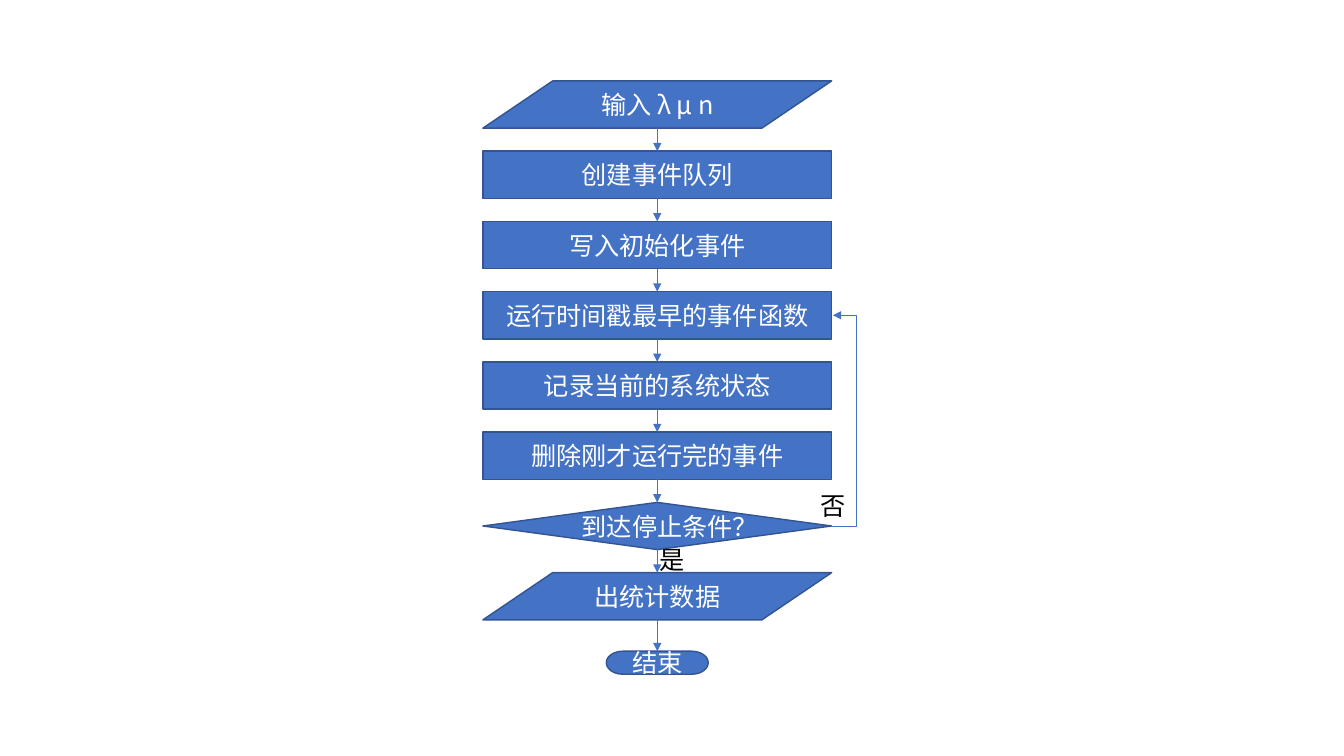
from lxml import etree
from pptx import Presentation
from pptx.dml.color import RGBColor
from pptx.enum.shapes import MSO_CONNECTOR, MSO_SHAPE
from pptx.enum.text import MSO_ANCHOR, MSO_AUTO_SIZE, PP_ALIGN
from pptx.oxml.ns import qn
from pptx.util import Cm, Pt

DATA = MSO_SHAPE.FLOWCHART_DATA
PROCESS = MSO_SHAPE.FLOWCHART_PROCESS
DECISION = MSO_SHAPE.FLOWCHART_DECISION
TERMINATOR = MSO_SHAPE.FLOWCHART_TERMINATOR
STRAIGHT, ELBOW = MSO_CONNECTOR.STRAIGHT, MSO_CONNECTOR.ELBOW

FONT = "Noto Sans CJK SC"
COLORS = {"fill": "4472C4", "outline": "325491", "arrow": "4472C4",
          "light": "FFFFFF", "dark": "000000"}

STEPS = [
    (DATA, "输入 λ μ n"),
    (PROCESS, "创建事件队列"),
    (PROCESS, "写入初始化事件"),
    (PROCESS, "运行时间戳最早的事件函数"),
    (PROCESS, "记录当前的系统状态"),
    (PROCESS, "删除刚才运行完的事件"),
    (DECISION, "到达停止条件？"),
    (DATA, "出统计数据"),
]
END_TEXT = "结束"
BRANCH_LABELS = [("是", 16.36, 13.59), ("否", 20.42, 12.24)]
LOOP_FROM, LOOP_TO = 6, 3

# Lengths in cm
LEFT, TOP, WIDTH, HEIGHT, PITCH = 12.17, 2.04, 8.79, 1.19, 1.77
END_TOP, END_WIDTH, END_HEIGHT = 16.41, 2.57, 0.58
LABEL_WIDTH, LABEL_HEIGHT = 1.14, 1.02
LOOP_OUT, LOOP_SHIFT = 0.63, 0.03
CENTER, RIGHT = LEFT + WIDTH / 2, LEFT + WIDTH


def rgb(name):
    """Return the named colour."""
    return RGBColor.from_string(COLORS[name])


def write(tf, text, color):
    """Put one formatted line into a text frame."""
    tf.text = text
    p = tf.paragraphs[0]
    for r in p.runs:
        r.font.name = FONT
        r.font.size = Pt(18)
        r.font.color.rgb = rgb(color)
        etree.SubElement(r.font._element, qn("a:ea"), typeface=FONT)
    return p


def add_node(s, kind, text, top, width, height):
    """Add a flowchart shape centred on the column."""
    sp = s.shapes.add_shape(kind, Cm(CENTER - width / 2), Cm(top),
                            Cm(width), Cm(height))
    sp.shadow.inherit = False
    sp.fill.solid()
    sp.fill.fore_color.rgb = rgb("fill")
    sp.line.color.rgb = rgb("outline")
    sp.line.width = Pt(1)
    tf = sp.text_frame
    tf.word_wrap = True
    tf.vertical_anchor = MSO_ANCHOR.MIDDLE
    write(tf, text, "light").alignment = PP_ALIGN.CENTER


def add_arrow(s, kind, x1, y1, x2, y2):
    """Add a thin connector with an arrowhead at its end."""
    cx = s.shapes.add_connector(kind, Cm(x1), Cm(y1), Cm(x2), Cm(y2))
    cx.line.color.rgb = rgb("arrow")
    cx.line.width = Pt(0.5)
    etree.SubElement(cx.line._get_or_add_ln(), qn("a:tailEnd"), type="triangle")
    etree.SubElement(cx._element.spPr, qn("a:effectLst"))
    return cx


def add_label(s, text, left, top):
    """Add a branch label that does not wrap."""
    tb = s.shapes.add_textbox(Cm(left), Cm(top), Cm(LABEL_WIDTH), Cm(LABEL_HEIGHT))
    tf = tb.text_frame
    tf.word_wrap = False
    tf.auto_size = MSO_AUTO_SIZE.SHAPE_TO_FIT_TEXT
    write(tf, text, "dark")


prs = Presentation()
prs.slide_width, prs.slide_height = Cm(33.87), Cm(19.05)
s = prs.slides.add_slide(prs.slide_layouts[6])

tops = [TOP + i * PITCH for i in range(len(STEPS))]
for (kind, text), top in zip(STEPS, tops):
    add_node(s, kind, text, top, WIDTH, HEIGHT)
add_node(s, TERMINATOR, END_TEXT, END_TOP, END_WIDTH, END_HEIGHT)

for top, next_top in zip(tops, tops[1:] + [END_TOP]):
    add_arrow(s, STRAIGHT, CENTER, top + HEIGHT, CENTER, next_top)

loop = add_arrow(s, ELBOW, RIGHT, tops[LOOP_FROM] + HEIGHT / 2,
                 RIGHT + LOOP_SHIFT, tops[LOOP_TO] + HEIGHT / 2)
bend = round(LOOP_OUT / LOOP_SHIFT * 100000)
guides = loop._element.spPr.find(qn("a:prstGeom")).get_or_add_avLst()
etree.SubElement(guides, qn("a:gd"), name="adj1", fmla=f"val {bend}")

for text, left, top in BRANCH_LABELS:
    add_label(s, text, left, top)

prs.save("out.pptx")
